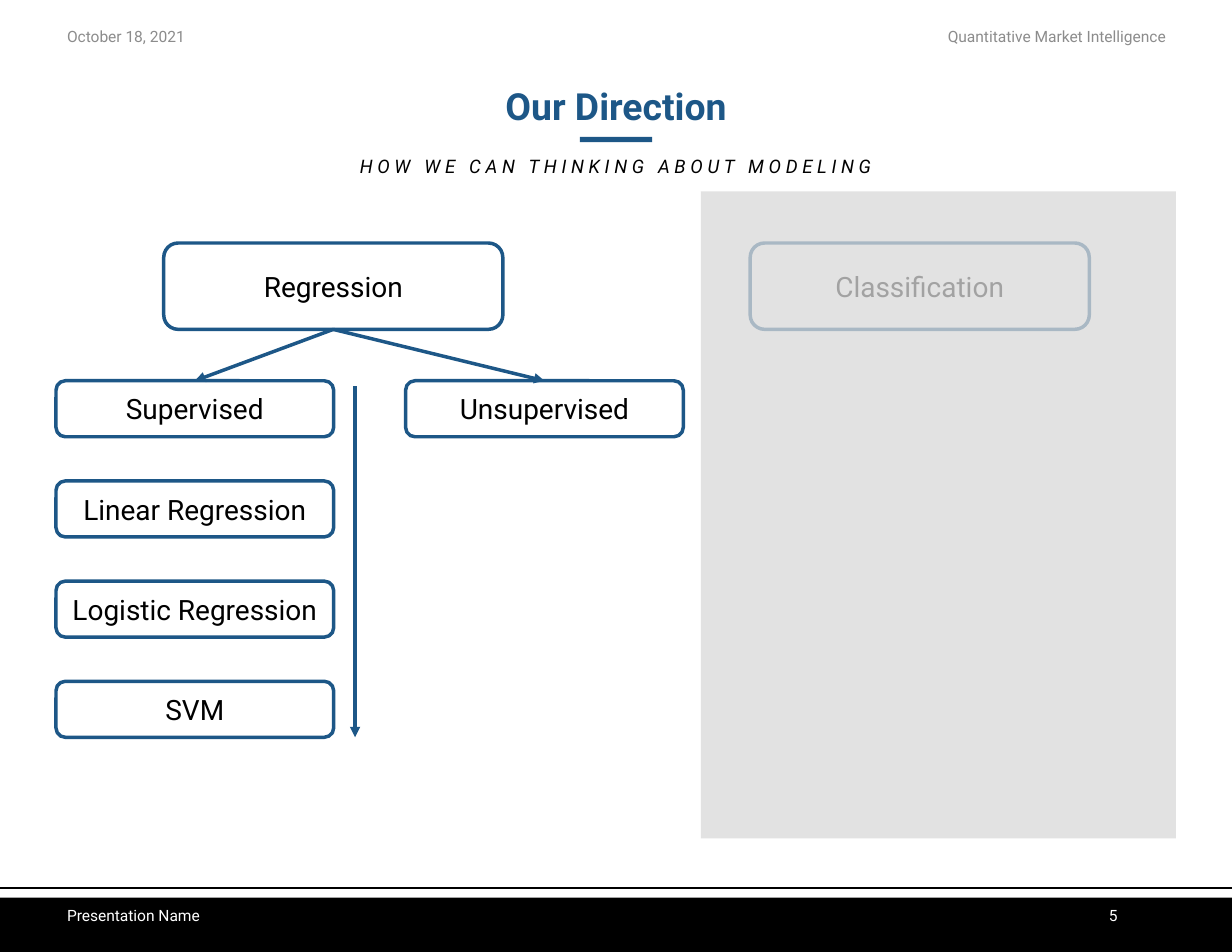
"""Build the "Our Direction" slide: regression methods beside a veiled classification branch."""
from dataclasses import dataclass

import lxml.etree
import pptx
import pptx.dml.color
import pptx.enum.shapes
import pptx.enum.text
import pptx.oxml.ns
import pptx.util

Pt = pptx.util.Pt
Align = pptx.enum.text.PP_ALIGN
Kind = pptx.enum.shapes.MSO_SHAPE


@dataclass(frozen=True)
class Theme:
    font: str = "Roboto"
    accent: str = "1D5787"
    ink: str = "000000"
    paper: str = "FFFFFF"
    muted: str = "8C8C8C"
    veil: str = "D9D9D9"
    title_size: float = 24
    label_size: float = 18
    subtitle_size: float = 12
    margin_size: float = 10
    outline: float = 2.25
    rule: float = 1.5


@dataclass(frozen=True)
class Area:
    left: float
    top: float
    width: float
    height: float

    def lengths(self):
        return [Pt(v) for v in (self.left, self.top, self.width, self.height)]


@dataclass(frozen=True)
class Node:
    label: str
    area: Area


@dataclass(frozen=True)
class Margin:
    text: str
    area: Area
    color: str
    align: Align


THEME = Theme()
PAGE_WIDTH, PAGE_HEIGHT, EDGE = 792, 612, 36
FOOTER_TOP = 577
BRANCH_WIDTH, BRANCH_HEIGHT, BRANCH_TOP = 218, 55.5, 156.25
STEP_WIDTH, STEP_HEIGHT, STEP_TOP, STEP_PITCH = 178.5, 36, 244.8, 64.4

MARGINS = [
    Margin("Quantitative Market Intelligence", Area(578, 13, 178.5, 21), THEME.muted, Align.RIGHT),
    Margin("Presentation Name", Area(EDGE, 580.5, 178.5, 16), THEME.paper, Align.LEFT),
    Margin("October 18, 2021", Area(EDGE, 13, 178.5, 21), THEME.muted, Align.LEFT),
    Margin("5", Area(547, 580.5, 178.5, 16), THEME.paper, Align.RIGHT),
]
REGRESSION = Node("Regression", Area(105.25, BRANCH_TOP, BRANCH_WIDTH, BRANCH_HEIGHT))
CLASSIFICATION = Node("Classification", Area(482.25, BRANCH_TOP, BRANCH_WIDTH, BRANCH_HEIGHT))
UNSUPERVISED = Node("Unsupervised", Area(260.75, STEP_TOP, STEP_WIDTH, STEP_HEIGHT))
STEPS = [
    Node(label, Area(EDGE, STEP_TOP + row * STEP_PITCH, STEP_WIDTH, STEP_HEIGHT))
    for row, label in enumerate(["Supervised", "Linear Regression", "Logistic Regression", "SVM"])
]


def rgb(color: str):
    return pptx.dml.color.RGBColor.from_string(color)


def write(box, text: str, *, size: float, color: str = THEME.ink, align=Align.CENTER,
          bold: bool = False, italic: bool = False, tracking: float = 0,
          line_spacing: float = 1, inset: float = 7.2) -> None:
    frame = box.text_frame
    frame.word_wrap = True
    frame.auto_size = pptx.enum.text.MSO_AUTO_SIZE.NONE
    frame.vertical_anchor = pptx.enum.text.MSO_ANCHOR.MIDDLE
    frame.margin_left = frame.margin_right = Pt(inset)
    para = frame.paragraphs[0]
    para.alignment = align
    para.line_spacing = line_spacing
    span = para.add_run()
    span.text = text
    span.font.name = THEME.font
    span.font.size = Pt(size)
    span.font.bold = bold
    span.font.italic = italic
    span.font.color.rgb = rgb(color)
    if tracking:
        span.font._element.set("spc", str(round(tracking * 100)))


def add_block(page, area: Area, color: str, opacity: int = 100):
    block = page.shapes.add_shape(Kind.RECTANGLE, *area.lengths())
    block.shadow.inherit = False
    block.line.fill.background()
    block.fill.solid()
    block.fill.fore_color.rgb = rgb(color)
    if opacity < 100:
        tint = block.fill._xPr.find(".//" + pptx.oxml.ns.qn("a:srgbClr"))
        alpha = lxml.etree.SubElement(tint, pptx.oxml.ns.qn("a:alpha"))
        alpha.set("val", str(opacity * 1000))
    return block


def add_node(page, node: Node):
    box = page.shapes.add_shape(Kind.ROUNDED_RECTANGLE, *node.area.lengths())
    box.shadow.inherit = False
    box.fill.background()
    box.line.color.rgb = rgb(THEME.accent)
    box.line.width = Pt(THEME.outline)
    write(box, node.label, size=THEME.label_size, inset=0)
    return box


def add_line(page, start: tuple[float, float], end: tuple[float, float], *,
             color: str = THEME.accent, width: float = THEME.outline, arrow: bool = True):
    line = page.shapes.add_connector(
        pptx.enum.shapes.MSO_CONNECTOR.STRAIGHT, *[Pt(v) for v in (*start, *end)])
    line.line.color.rgb = rgb(color)
    line.line.width = Pt(width)
    if arrow:
        head = lxml.etree.SubElement(line.line._get_or_add_ln(), pptx.oxml.ns.qn("a:tailEnd"))
        head.set("type", "triangle")
    lxml.etree.SubElement(line._element.spPr, pptx.oxml.ns.qn("a:effectLst"))
    return line


def link(page, parent, child) -> None:
    line = add_line(page, (0, 0), (0, 0))
    line.begin_connect(parent, 2)
    line.end_connect(child, 0)


def add_frame(page) -> None:
    add_line(page, (0, 571), (PAGE_WIDTH, 571), color=THEME.ink, width=THEME.rule, arrow=False)
    add_block(page, Area(0, FOOTER_TOP, PAGE_WIDTH, PAGE_HEIGHT - FOOTER_TOP), THEME.ink)
    for margin in MARGINS:
        box = page.shapes.add_textbox(*margin.area.lengths())
        write(box, margin.text, size=THEME.margin_size, color=margin.color, align=margin.align)


def add_heading(page) -> None:
    title = page.shapes.title
    title.left, title.top, title.width, title.height = Area(EDGE, 49.5, 720, 41).lengths()
    write(title, "Our Direction", size=THEME.title_size, color=THEME.accent, bold=True,
          line_spacing=0.9)
    add_block(page, Area(372.75, 88, 46.5, 3.5), THEME.accent)
    subtitle = page.shapes.add_textbox(*Area(EDGE, 91.5, 720, 31.5).lengths())
    write(subtitle, "HOW WE CAN THINKING ABOUT MODELING", size=THEME.subtitle_size, italic=True,
          tracking=3, line_spacing=0.95)


def add_diagram(page) -> None:
    regression = add_node(page, REGRESSION)
    add_node(page, CLASSIFICATION)
    unsupervised = add_node(page, UNSUPERVISED)
    steps = [add_node(page, step) for step in STEPS]
    link(page, regression, unsupervised)
    link(page, regression, steps[0])
    add_line(page, (228.25, 248.25), (228.25, STEPS[-1].area.top + STEP_HEIGHT))
    add_block(page, Area(450.5, 123, 305.5, 416), THEME.veil, opacity=75)


def main() -> None:
    deck = pptx.Presentation()
    deck.slide_width, deck.slide_height = Pt(PAGE_WIDTH), Pt(PAGE_HEIGHT)
    page = deck.slides.add_slide(deck.slide_layouts.get_by_name("Title Only"))
    add_frame(page)
    add_heading(page)
    add_diagram(page)
    deck.save("out.pptx")


if __name__ == "__main__":
    main()
